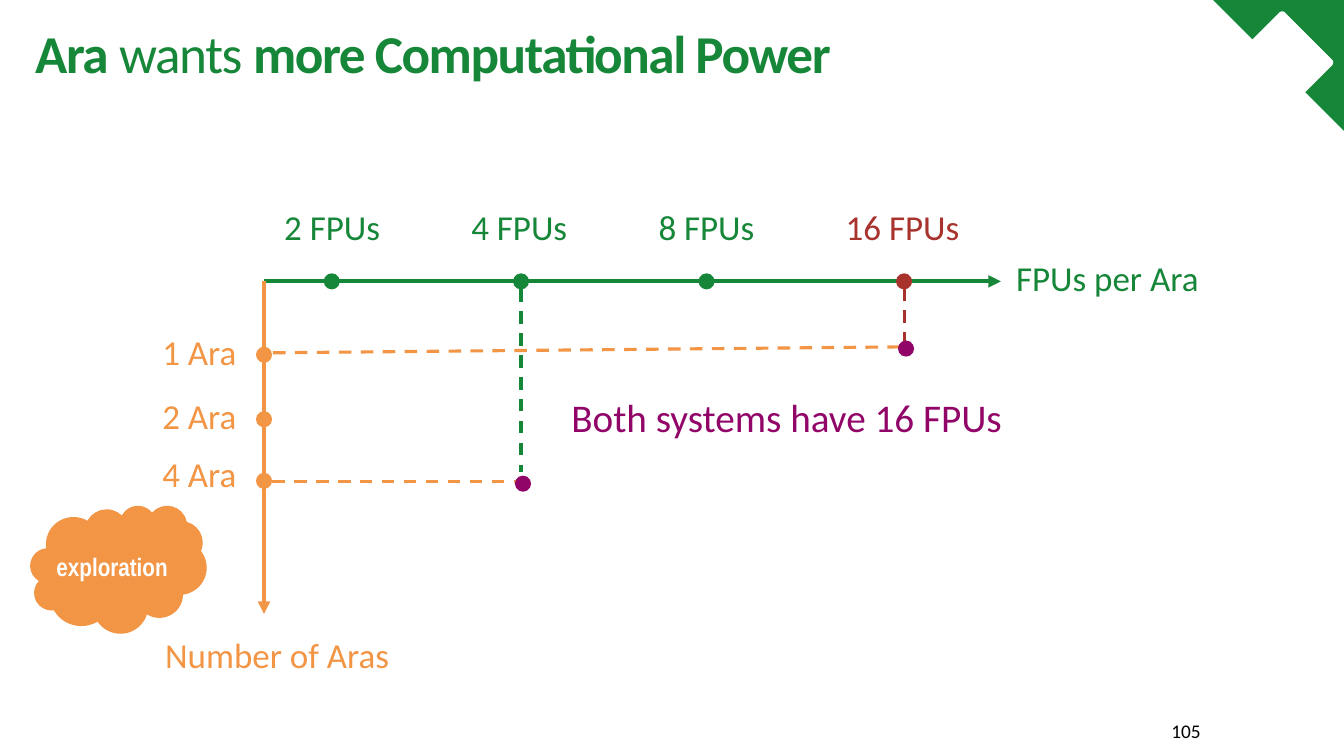
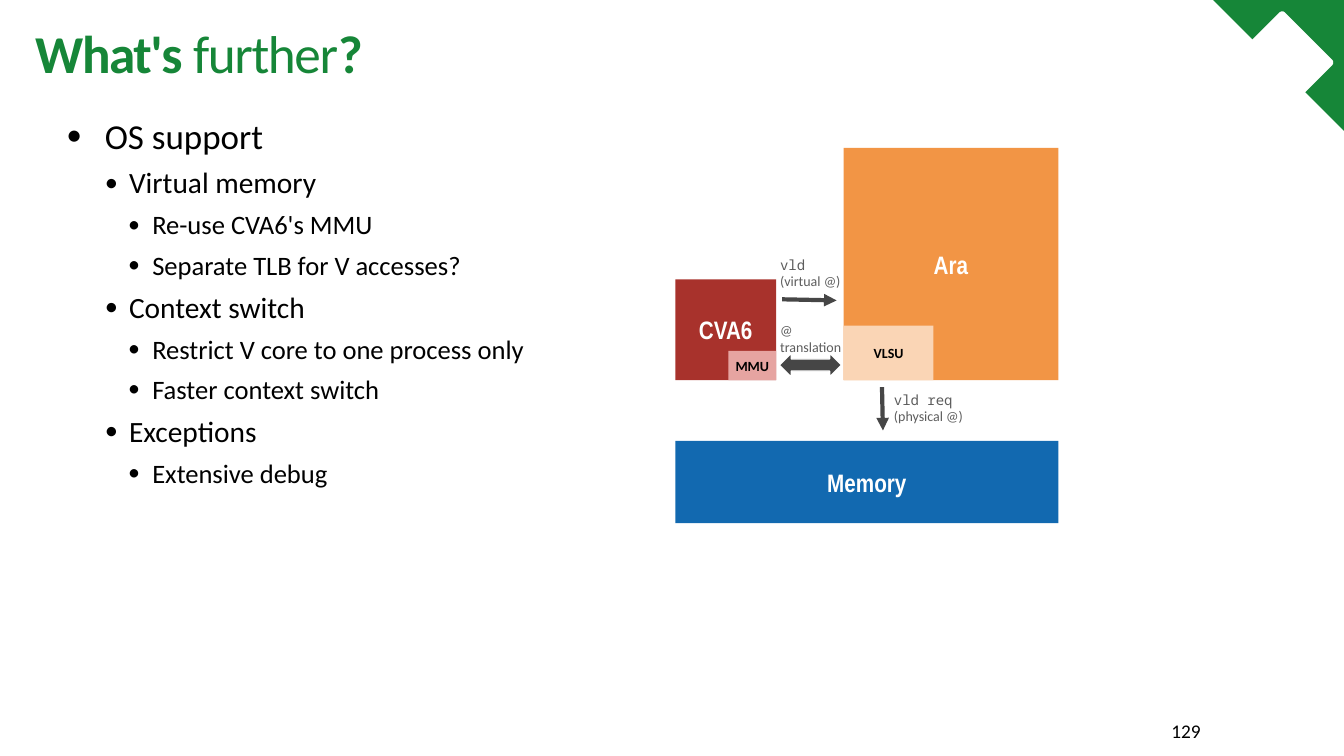
from lxml.etree import SubElement
from pptx import Presentation
from pptx.dml.color import RGBColor
from pptx.enum.dml import MSO_LINE
from pptx.enum.shapes import MSO_CONNECTOR, MSO_SHAPE
from pptx.enum.text import MSO_ANCHOR, MSO_AUTO_SIZE, PP_ALIGN
from pptx.oxml.ns import qn
from pptx.util import Pt

# Colours
GREEN = RGBColor(0x16, 0x86, 0x38)
ORANGE = RGBColor(0xF2, 0x95, 0x45)
RED = RGBColor(0xA8, 0x32, 0x2C)
PURPLE = RGBColor(0x91, 0x05, 0x69)
BLUE = RGBColor(0x12, 0x69, 0xB0)
PALE_RED = RGBColor(0xE6, 0xA4, 0xA1)
PALE_ORANGE = RGBColor(0xFA, 0xD5, 0xB5)
DARK_GREY = RGBColor(0x46, 0x46, 0x46)
GREY = RGBColor(0x5D, 0x5D, 0x5D)
BLACK = RGBColor(0, 0, 0)
WHITE = RGBColor(0xFF, 0xFF, 0xFF)

# Fonts
BODY = "Calibri"
NARROW = "Arial Narrow"
MONO = "Noto Sans Mono"

# Bullet levels: left margin, hanging indent, size, space before
LEVELS = [(49.7, 27.4, 25, 12), (67, 17.2, 21, 6), (83.6, 17.2, 19, 6)]


class Deck:
    """Holds the shared style and the current slide."""

    def __init__(self):
        self.presentation = Presentation()
        self.presentation.slide_width = Pt(960)
        self.presentation.slide_height = Pt(540)
        self.slide = None

    def new_slide(self, title, number):
        layout = self.presentation.slide_layouts[6]
        self.slide = self.presentation.slides.add_slide(layout)
        self.corner()
        self.title(title)
        frame = self.text_box(818, 509.5, 46.8, 24.5, margins=(7.2, 3.6), wrap=True)
        frame.vertical_anchor = MSO_ANCHOR.BOTTOM
        frame.text = str(number)
        paragraph = frame.paragraphs[0]
        paragraph.alignment = PP_ALIGN.RIGHT
        paragraph.space_after = Pt(6)
        self.style(paragraph, 13.8, BLACK)

    def corner(self):
        triangle = self.shape(MSO_SHAPE.ISOSCELES_TRIANGLE, 866.6, 0, 93.4, 93.4, GREEN)
        triangle.adjustments[0] = 1
        triangle.rotation = 270
        for left, top, side in [(872.6, 30.2, 29.5), (889.2, 18, 53.3)]:
            square = self.shape(MSO_SHAPE.ROUNDED_RECTANGLE, left, top, side, side, WHITE)
            square.adjustments[0] = 0.05
            square.rotation = 45

    def title(self, parts):
        frame = self.text_box(25.2, 14.4, 840.2, 51.8, wrap=True)
        frame.vertical_anchor = MSO_ANCHOR.MIDDLE
        paragraph = frame.paragraphs[0]
        paragraph.line_spacing = 0.9
        for text, bold in parts:
            run = paragraph.add_run()
            run.text = text
            run._r.get_or_add_rPr().set("spc", "-105")
            self.style_run(run, 38, GREEN, BODY, bold)

    def style_run(self, run, size, color, font, bold):
        run.font.size = Pt(size)
        run.font.name = font
        run.font.bold = bold
        run.font.color.rgb = color

    def style(self, paragraph, size, color, font=BODY, bold=False):
        for run in paragraph.runs:
            self.style_run(run, size, color, font, bold)

    def text_box(self, left, top, width, height, margins=(0, 0), wrap=False):
        box = self.slide.shapes.add_textbox(Pt(left), Pt(top), Pt(width), Pt(height))
        frame = box.text_frame
        frame.word_wrap = wrap
        frame.margin_left = frame.margin_right = Pt(margins[0])
        frame.margin_top = frame.margin_bottom = Pt(margins[1])
        return frame

    def label(self, text, left, top, color, size=25, width=100, height=40):
        frame = self.text_box(left, top, width, height)
        frame.text = text
        self.style(frame.paragraphs[0], size, color)

    def note(self, lines, left, top, width):
        """Small grey caption, one (text, font) pair a line."""
        frame = self.text_box(left, top, width, 24.5)
        frame.auto_size = MSO_AUTO_SIZE.SHAPE_TO_FIT_TEXT
        frame.text = "\n".join(text for text, font in lines)
        for paragraph, (text, font) in zip(frame.paragraphs, lines):
            self.style(paragraph, 10, GREY, font)

    def shape(self, kind, left, top, width, height, fill):
        shape = self.slide.shapes.add_shape(kind, Pt(left), Pt(top), Pt(width), Pt(height))
        shape.shadow.inherit = False
        shape.fill.solid()
        shape.fill.fore_color.rgb = fill
        shape.line.fill.background()
        return shape

    def block(self, text, left, top, width, height, fill, size=18, color=WHITE,
              font=NARROW, kind=MSO_SHAPE.RECTANGLE):
        shape = self.shape(kind, left, top, width, height, fill)
        frame = shape.text_frame
        frame.margin_left = frame.margin_right = 0
        frame.margin_top = frame.margin_bottom = 0
        frame.vertical_anchor = MSO_ANCHOR.MIDDLE
        frame.text = text
        frame.paragraphs[0].alignment = PP_ALIGN.CENTER
        self.style(frame.paragraphs[0], size, color, font, bold=True)

    def dot(self, x, y, color, size=11.5):
        self.shape(MSO_SHAPE.OVAL, x - size / 2, y - size / 2, size, size, color)

    def line(self, x1, y1, x2, y2, color, width):
        connector = self.slide.shapes.add_connector(
            MSO_CONNECTOR.STRAIGHT, Pt(x1), Pt(y1), Pt(x2), Pt(y2))
        connector.line.color.rgb = color
        connector.line.width = Pt(width)
        SubElement(connector._element.spPr, qn("a:effectLst"))
        return connector

    def arrow(self, x1, y1, x2, y2, color):
        connector = self.line(x1, y1, x2, y2, color, 3)
        SubElement(connector.line._get_or_add_ln(), qn("a:tailEnd"), type="triangle")

    def dashed_line(self, x1, y1, x2, y2, color):
        self.line(x1, y1, x2, y2, color, 2.25).line.dash_style = MSO_LINE.DASH

    def bullets(self, items, left, top, width, height):
        frame = self.text_box(left, top, width, height, margins=(0, 3.6), wrap=True)
        frame.text = "\n".join(text for level, text in items)
        for index, (level, text) in enumerate(items):
            margin, hanging, size, space = LEVELS[level]
            paragraph = frame.paragraphs[index]
            paragraph.level = level
            paragraph.space_before = Pt(space if index else 0)
            properties = paragraph._p.get_or_add_pPr()
            properties.set("marL", str(Pt(margin)))
            properties.set("indent", str(-Pt(hanging)))
            bullet_color = SubElement(properties, qn("a:buClr"))
            SubElement(bullet_color, qn("a:srgbClr"), val=str(BLACK))
            SubElement(properties, qn("a:buSzPct"), val="90000")
            SubElement(properties, qn("a:buFont"), typeface=BODY)
            SubElement(properties, qn("a:buChar"), char="•")
            self.style(paragraph, size, BLACK)


def computational_power(deck):
    deck.new_slide([("Ara", True), (" wants ", False),
                    ("more Computational Power", True)], 105)
    origin_x, origin_y = 188.6, 201

    # Axes
    deck.arrow(origin_x, origin_y, 715, origin_y, GREEN)
    deck.arrow(origin_x, origin_y, origin_x, 438.5, ORANGE)
    deck.label("FPUs per Ara", 725.8, 183, GREEN, width=170)
    deck.label("Number of Aras", 118, 452.5, ORANGE, width=170)

    # Ticks and their labels
    columns = [(2, 237, GREEN), (4, 372.2, GREEN), (8, 504.7, GREEN), (16, 645.8, RED)]
    for index, (count, x, color) in enumerate(columns):
        deck.label(f"{count} FPUs", 203 + 133.7 * index, 147, color)
        deck.dot(x, origin_y, color)
    for count, y, label_top in [(1, 253.4, 236.2), (2, 299.5, 281.5), (4, 343.5, 323.3)]:
        deck.label(f"{count} Ara", 116, label_top, ORANGE)
        deck.dot(origin_x, y, ORANGE)

    # The two systems with equal power
    deck.dashed_line(194.4, 344.2, 372.2, 344.2, ORANGE)
    deck.dashed_line(195, 252, 651.6, 247.7, ORANGE)
    deck.dashed_line(372.2, 206.6, 372.2, 337, GREEN)
    deck.dashed_line(645.8, 206, 645.8, 247.7, RED)
    deck.dot(373.6, 345.5, PURPLE)
    deck.dot(647.2, 249, PURPLE)
    deck.label("Both systems have 16 FPUs", 408.2, 280.8, PURPLE, size=28, width=456.5)
    deck.block("exploration", 21.6, 361, 126, 91.4, ORANGE, kind=MSO_SHAPE.CLOUD)


def whats_further(deck):
    deck.new_slide([("What's ", True), ("further", False), ("?", True)], 129)
    deck.bullets([
        (0, "OS support"),
        (1, "Virtual memory"),
        (2, "Re-use CVA6's MMU"),
        (2, "Separate TLB for V accesses?"),
        (1, "Context switch"),
        (2, "Restrict V core to one process only"),
        (2, "Faster context switch"),
        (1, "Exceptions"),
        (2, "Extensive debug"),
    ], 25.2, 78, 372.2, 434.9)

    # Blocks, with the units inside them
    deck.block("CVA6", 482.4, 199.6, 72, 72, RED)
    deck.block("Ara", 602.6, 105.6, 153.4, 166, ORANGE)
    deck.block("Memory", 482.4, 315, 273.6, 58.8, BLUE)
    deck.block("MMU", 520.2, 250.7, 34.2, 20.9, PALE_RED, 10, BLACK, BODY)
    deck.block("VLSU", 602.6, 232.6, 64.2, 39, PALE_ORANGE, 10, BLACK, BODY)

    # Traffic between the blocks
    exchange = deck.shape(MSO_SHAPE.LEFT_RIGHT_ARROW, 556.6, 252.1, 44.6, 17.3, DARK_GREY)
    exchange.line.color.rgb = WHITE
    exchange.line.width = Pt(1)
    deck.arrow(558.7, 213.8, 597.6, 214.6, DARK_GREY)
    deck.arrow(630, 276.5, 630.7, 307.5, DARK_GREY)
    deck.note([("vld", MONO), ("(virtual @)", BODY)], 557.3, 182.9, 43.2)
    deck.note([("vld req", MONO), ("(physical @)", BODY)], 638.6, 279.4, 50.4)
    deck.note([("@", BODY), ("translation", BODY)], 557.3, 229.7, 44.6)


def main():
    deck = Deck()
    computational_power(deck)
    whats_further(deck)
    deck.presentation.save("out.pptx")


if __name__ == "__main__":
    main()
